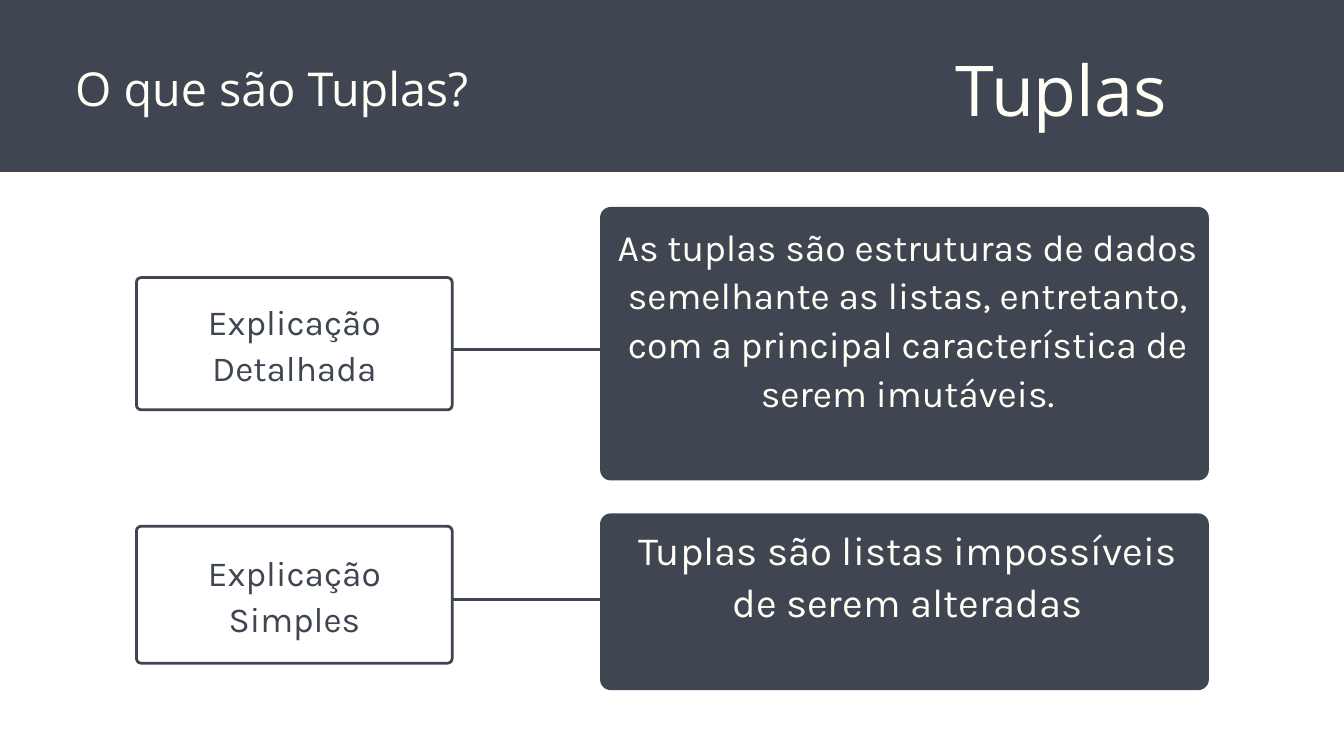
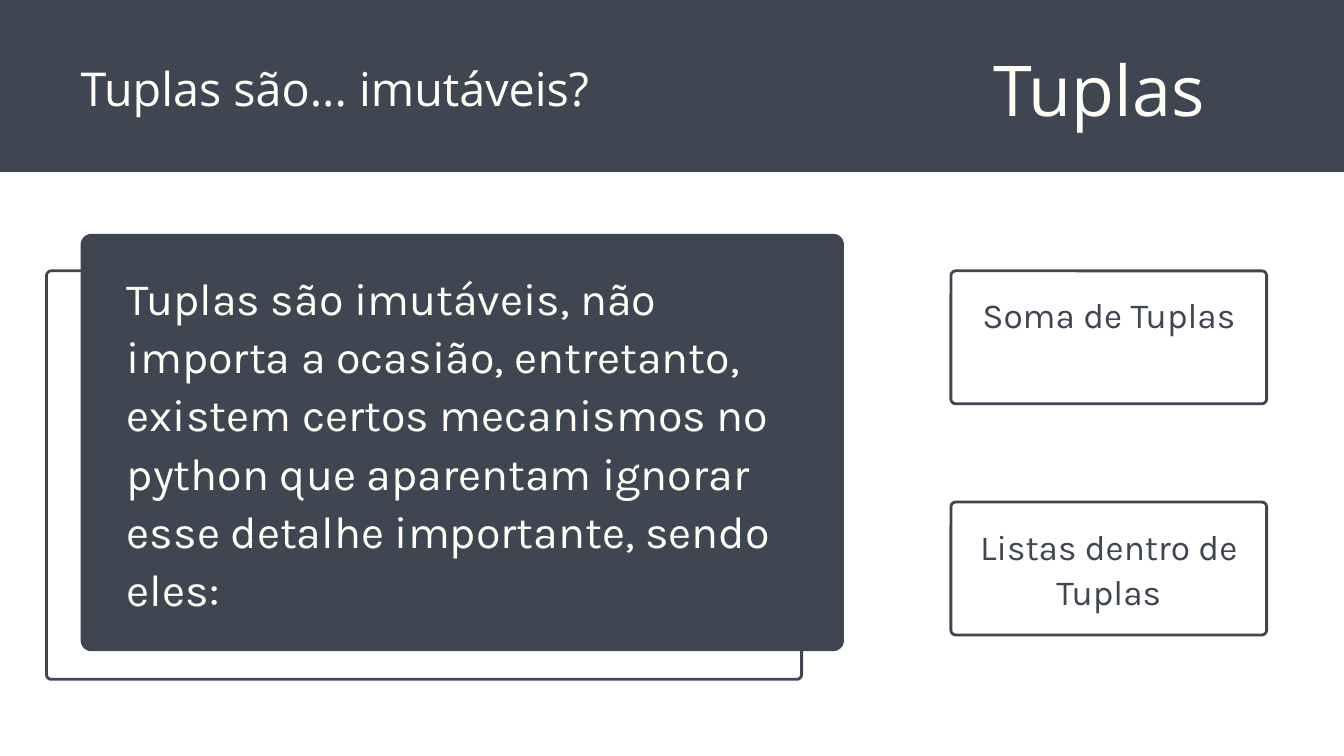
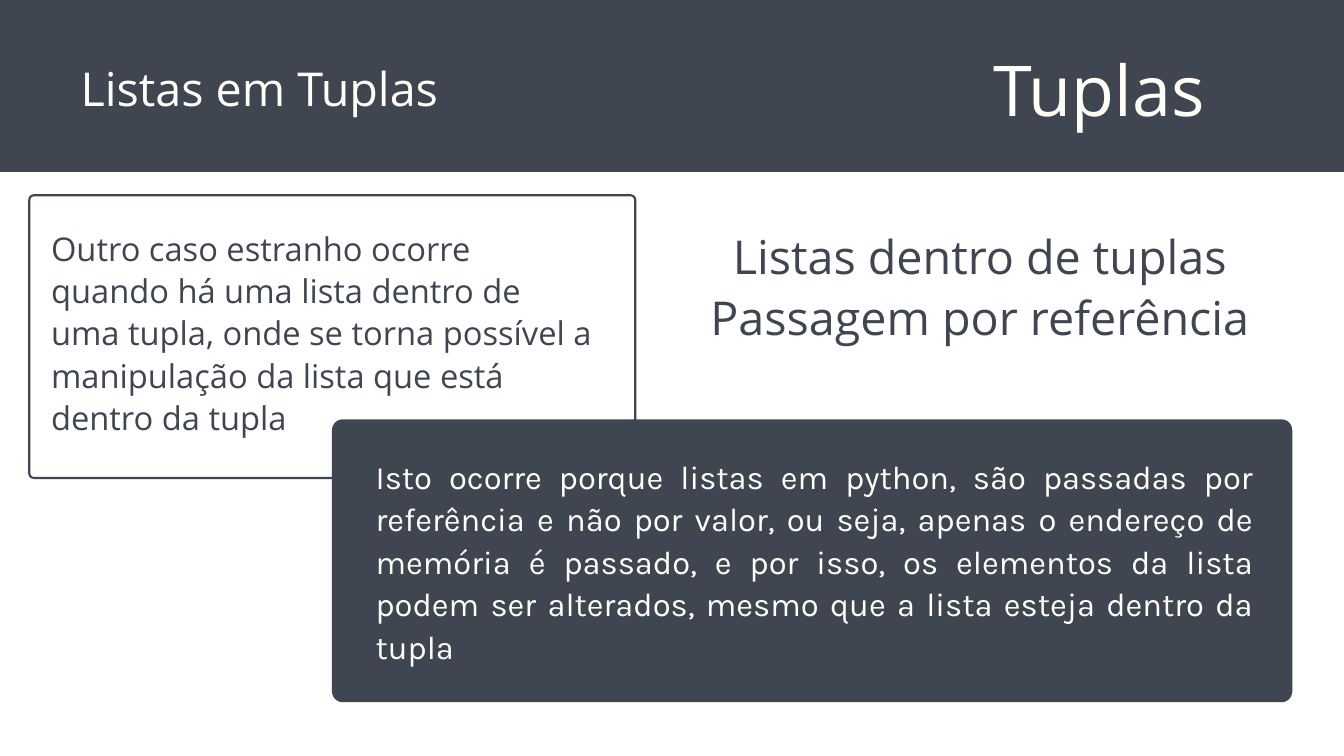
from lxml import etree
from pptx import Presentation
from pptx.dml.color import RGBColor
from pptx.enum.shapes import MSO_CONNECTOR, MSO_SHAPE
from pptx.enum.text import PP_ALIGN
from pptx.oxml.ns import qn
from pptx.util import Inches, Pt

SLATE, CREAM = "3F4652", "FFFFF6"
BODY, HEAD = "Karla", "Open Sans"
LEFT, CENTER, JUSTIFY = PP_ALIGN.LEFT, PP_ALIGN.CENTER, PP_ALIGN.JUSTIFY
SECTION = "Tuplas"
SIDE_X = 14.13

# title: text, left; section: left, width of the box for the section name
# label: text, left, top, height of the frame
# panel / frame: left, top, width, height (frame adds its line width in points)
# text: text, box, font, size, line spacing, colour, alignment
SLIDES = [
    {
        "title": ("O que são Tuplas?", 1.12),
        "section": (12.98, 5.63),
        "labels": [("Explicação Detalhada", 2.01, 4.11, 2.01),
                   ("Explicação Simples", 2.01, 7.81, 2.08)],
        "panels": [(8.93, 3.08, 9.06, 4.07), (8.93, 7.64, 9.06, 2.63)],
        "links": [(6.72, 9.1, 5.2), (6.72, 9.1, 8.92)],
        "texts": [
            ("As tuplas são estruturas de dados semelhante as listas, entretanto, "
             "com a principal característica de serem imutáveis.",
             (9.02, 3.28, 8.97, 3.61), BODY, 40, 52, CREAM, CENTER),
            ("Tuplas são listas impossíveis de serem alteradas",
             (9.46, 7.76, 8.09, 2.32), BODY, 43, 55.9, CREAM, CENTER),
        ],
    },
    {
        "title": ("Tuplas são... imutáveis?", 1.2),
        "section": (13.84, 5.03),
        "labels": [("Soma de Tuplas", SIDE_X, 4.01, 2.02),
                   ("Listas dentro de Tuplas", SIDE_X, 7.45, 2.02)],
        "frames": [(0.67, 4.01, 11.28, 6.12, 3)],
        "panels": [(1.2, 3.48, 11.36, 6.21)],
        "texts": [
            ("Tuplas são imutáveis, não importa a ocasião, entretanto, existem "
             "certos mecanismos no python que aparentam ignorar esse detalhe "
             "importante, sendo eles:",
             (1.89, 3.96, 10.06, 5.18), BODY, 48, 62.4, CREAM, LEFT),
        ],
    },
    {
        "title": ("Listas em Tuplas", 1.2),
        "section": (13.84, 5.03),
        "frames": [(0.42, 2.89, 9.05, 4.24, 2.3)],
        "panels": [(4.94, 6.24, 14.29, 4.21)],
        "texts": [
            ("Isto ocorre porque listas em python, são passadas por referência e "
             "não por valor, ou seja, apenas o endereço de memória é passado, e "
             "por isso, os elementos da lista podem ser alterados, mesmo que a "
             "lista esteja dentro da tupla",
             (5.59, 6.75, 13.07, 3.15), BODY, 35, 45.5, CREAM, JUSTIFY),
            ("Outro caso estranho ocorre quando há uma lista dentro de uma tupla, "
             "onde se torna possível a manipulação da lista que está dentro da "
             "tupla",
             (0.76, 3.35, 8.09, 3.14), HEAD, 35, 45.5, SLATE, LEFT),
            ("Listas dentro de tuplas Passagem por referência",
             (10.3, 3.32, 8.57, 1.8), HEAD, 50, 65, SLATE, CENTER),
        ],
    },
]


def color(value):
    return RGBColor.from_string(value)


def add_block(s, kind, box, radius=0):
    sp = s.shapes.add_shape(kind, *map(Inches, box))
    sp.shadow.inherit = False
    if radius:
        sp.adjustments[0] = radius / min(box[2:])
    return sp


def add_solid(s, kind, box, radius=0):
    sp = add_block(s, kind, box, radius)
    sp.fill.solid()
    sp.fill.fore_color.rgb = color(SLATE)
    sp.line.fill.background()


def add_frame(s, x, y, w, h, line=3):
    """Rounded outline whose outer edge fills the given box."""
    t = line / 72
    box = (x + t / 2, y + t / 2, w - t, h - t)
    sp = add_block(s, MSO_SHAPE.ROUNDED_RECTANGLE, box, 0.07)
    sp.fill.background()
    sp.line.color.rgb = color(SLATE)
    sp.line.width = Pt(line)


def add_text(s, text, box, font, size, spacing, ink, align):
    tf = s.shapes.add_textbox(*map(Inches, box)).text_frame
    tf.word_wrap = True
    tf.margin_left = tf.margin_right = tf.margin_top = tf.margin_bottom = 0
    tf.text = text
    p = tf.paragraphs[0]
    p.alignment = align
    p.line_spacing = Pt(spacing)
    r = p.runs[0]
    r.font.name = font
    r.font.size = Pt(size)
    r.font.color.rgb = color(ink)


def add_label(s, text, x, y, h):
    w, text_w, text_h = 4.74, 4.07, 1.36
    add_frame(s, x, y, w, h)
    box = (x + (w - text_w) / 2, y + (h - text_h) / 2 - 0.02, text_w, text_h)
    add_text(s, text, box, BODY, 37.7, 49, SLATE, CENTER)


def add_link(s, x1, x2, y):
    line = s.shapes.add_connector(MSO_CONNECTOR.STRAIGHT, Inches(x1), Inches(y),
                                  Inches(x2), Inches(y))
    line.line.color.rgb = color(SLATE)
    line.line.width = Pt(3.6)
    etree.SubElement(line._element.spPr, qn("a:effectLst"))


def add_header(s, title, title_x, section_x, section_w):
    add_solid(s, MSO_SHAPE.RECTANGLE, (0, 0, 20, 2.56))
    add_text(s, SECTION, (section_x, 0.49, section_w, 1.42),
             HEAD, 75, 105, CREAM, CENTER)
    add_text(s, title, (title_x, 0.75, 8, 0.95), HEAD, 50, 70, CREAM, LEFT)


def main():
    prs = Presentation()
    prs.slide_width, prs.slide_height = Inches(20), Inches(11.25)
    for content in SLIDES:
        s = prs.slides.add_slide(prs.slide_layouts[6])
        add_header(s, *content["title"], *content["section"])
        for frame in content.get("frames", []):
            add_frame(s, *frame)
        for label in content.get("labels", []):
            add_label(s, *label)
        for link in content.get("links", []):
            add_link(s, *link)
        for panel in content["panels"]:
            add_solid(s, MSO_SHAPE.ROUNDED_RECTANGLE, panel, 0.16)
        for text in content["texts"]:
            add_text(s, *text)
    prs.save("out.pptx")


if __name__ == "__main__":
    main()
